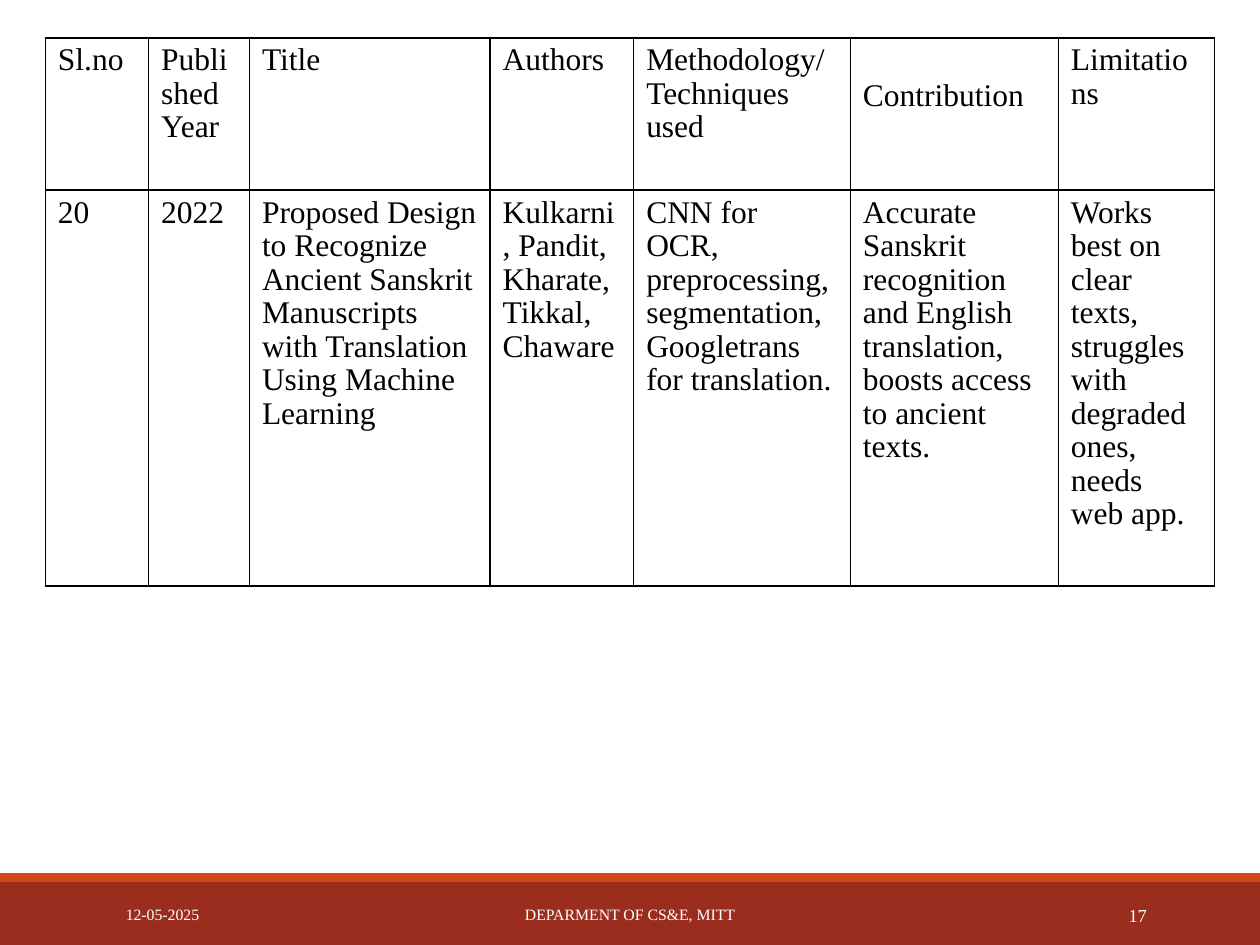
"""Build a literature survey slide with one table and a footer band."""
from lxml.etree import SubElement
from pptx import Presentation
from pptx.dml.color import RGBColor
from pptx.enum.shapes import MSO_SHAPE
from pptx.enum.text import MSO_ANCHOR, PP_ALIGN
from pptx.oxml.ns import qn
from pptx.util import Inches, Pt

HUES = {"band": "9B2D1F", "strip": "D34817", "ink": "000000", "pale": "FFFFFF"}
FACE = "Times New Roman"


def write(para, text, size, hue):
    run = para.add_run()
    run.text = text
    run.font.name = FACE
    run.font.size = Pt(size)
    run.font.color.rgb = RGBColor.from_string(HUES[hue])


def edge(cell):
    props = cell._tc.get_or_add_tcPr()
    for side in ("lnL", "lnR", "lnT", "lnB"):
        line = SubElement(props, qn(f"a:{side}"), w=str(Pt(1)))
        fill = SubElement(line, qn("a:solidFill"))
        SubElement(fill, qn("a:srgbClr"), val=HUES["ink"])


deck = Presentation()
deck.slide_width, deck.slide_height = Inches(10), Inches(7.5)
slide = deck.slides.add_slide(deck.slide_layouts[6])
shapes = slide.shapes

for hue, top, high in (("band", 7, 0.5), ("strip", 6.93, 0.07)):
    bar = shapes.add_shape(MSO_SHAPE.RECTANGLE, 0, Inches(top), deck.slide_width, Inches(high))
    bar.shadow.inherit = False
    bar.fill.solid()
    bar.fill.fore_color.rgb = RGBColor.from_string(HUES[hue])
    bar.line.fill.background()

feet = [
    ("12-05-2025", 0.9, 2.03, 9, PP_ALIGN.LEFT),
    ("DEPARMENT OF CS&E, MITT", 3.02, 3.96, 9, PP_ALIGN.CENTER),
    ("17", 8.12, 1.08, 10.5, PP_ALIGN.RIGHT),
]
for text, left, wide, size, align in feet:
    box = shapes.add_textbox(Inches(left), Inches(7.06), Inches(wide), Inches(0.4))
    frame = box.text_frame
    frame.word_wrap = True
    frame.vertical_anchor = MSO_ANCHOR.MIDDLE
    para = frame.paragraphs[0]
    para.alignment = align
    write(para, text, size, "pale")

cols = [0.82, 0.8, 1.91, 1.14, 1.72, 1.65, 1.24]
rows = [1.21, 3.14]
cells = [
    [
        ["Sl.no"],
        ["Published Year"],
        ["Title"],
        ["Authors"],
        ["Methodology/", "Techniques used"],
        ["Contribution"],
        ["Limitations"],
    ],
    [
        ["20"],
        ["2022"],
        ["Proposed Design to Recognize Ancient Sanskrit Manuscripts "
         "with Translation Using Machine Learning"],
        ["Kulkarni, Pandit, Kharate, Tikkal, Chaware"],
        ["CNN for OCR, preprocessing, segmentation, Googletrans for translation."],
        ["Accurate Sanskrit recognition and English translation, "
         "boosts access to ancient texts."],
        ["Works best on clear texts, struggles with degraded ones, needs web app."],
    ],
]
grid = shapes.add_table(
    len(rows), len(cols), Inches(0.36), Inches(0.3), Inches(sum(cols)), Inches(sum(rows))
).table
grid.first_row = grid.horz_banding = False
for col, wide in zip(grid.columns, cols):
    col.width = Inches(wide)
for row, high, texts in zip(grid.rows, rows, cells):
    row.height = Inches(high)
    for cell, lines in zip(row.cells, texts):
        edge(cell)
        cell.fill.background()
        frame = cell.text_frame
        for spot, text in enumerate(lines):
            para = frame.add_paragraph() if spot else frame.paragraphs[0]
            para.line_spacing = 0.96
            write(para, text, 18, "ink")
grid.cell(0, 5).margin_top = Inches(0.33)

deck.save("out.pptx")
